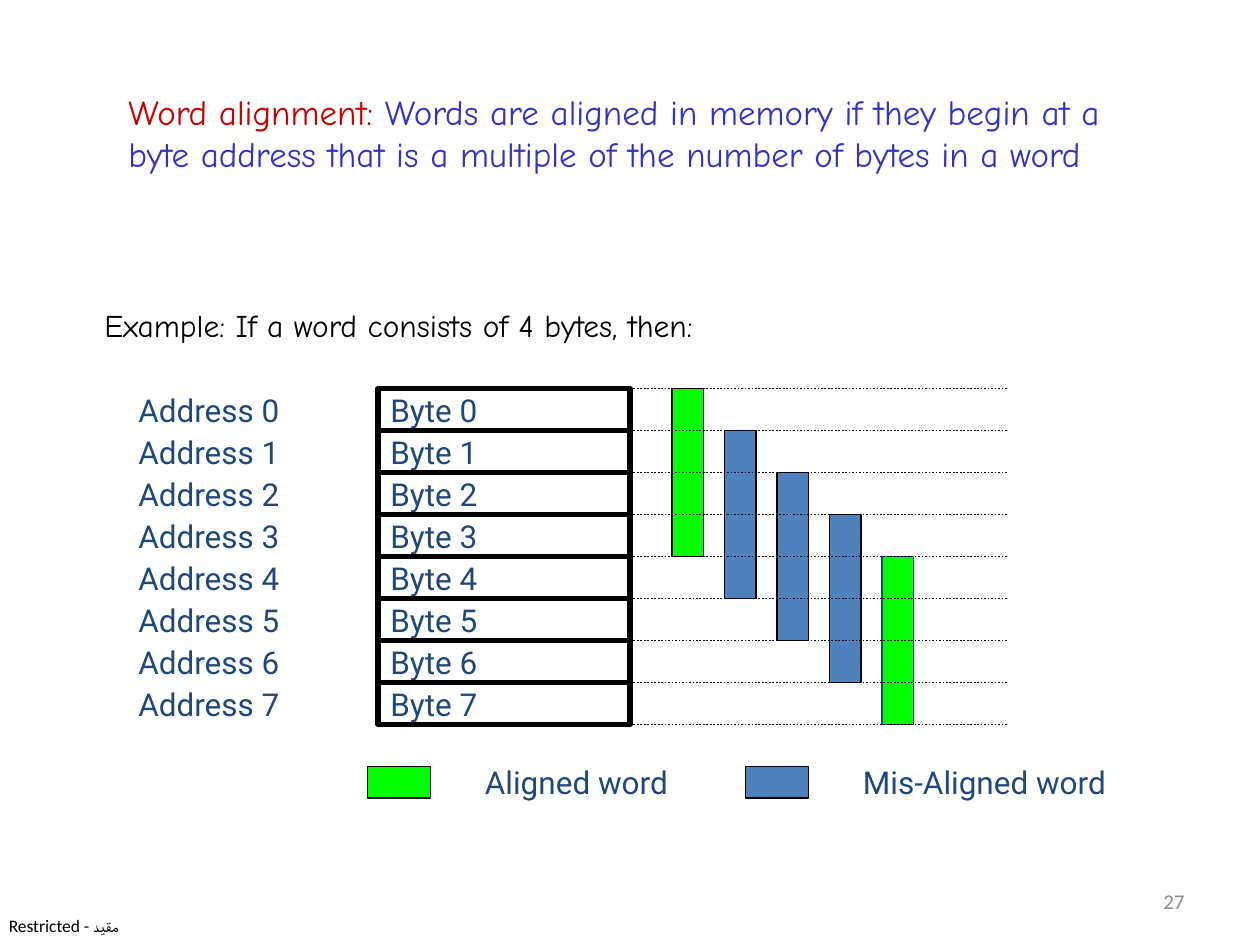
from lxml.etree import SubElement
from pptx import Presentation
from pptx.dml.color import RGBColor
from pptx.enum.dml import MSO_LINE
from pptx.enum.shapes import MSO_CONNECTOR, MSO_SHAPE
from pptx.enum.text import MSO_ANCHOR, MSO_AUTO_SIZE, PP_ALIGN
from pptx.oxml.ns import qn
from pptx.util import Inches, Pt

BLACK = RGBColor(0x00, 0x00, 0x00)
GRAY = RGBColor(0x8C, 0x8C, 0x8C)
RED = RGBColor(0xCC, 0x00, 0x00)
INDIGO = RGBColor(0x33, 0x33, 0xCC)
NAVY = RGBColor(0x1F, 0x49, 0x7D)
GREEN = RGBColor(0x00, 0xFF, 0x00)
BLUE = RGBColor(0x4F, 0x81, 0xBD)

BODY, HAND, SMALL = "Roboto", "Comic Neue", "Calibri"

# Memory grid, in units of a twelfth of an inch
TOP, ROW, BYTES, WORD = 37, 4, 8, 4
ADDRESS_X, BYTE_X, COL_W = 12, 36, 24
BAR_X, BAR_STEP, BAR_W = 64, 5, 3


def unit(n):
    return Inches(n / 12)


def style(r, size, font, color):
    r.font.size = Pt(size)
    r.font.name = font
    r.font.color.rgb = color


def write(sp, text, size, font, color, anchor=MSO_ANCHOR.MIDDLE, wrap=False):
    tf = sp.text_frame
    tf.word_wrap = wrap
    tf.vertical_anchor = anchor
    p = tf.paragraphs[0]
    p.text = text
    p.alignment = PP_ALIGN.LEFT
    style(p.runs[0], size, font, color)
    return tf


def add_label(s, x, y, w, h, text):
    box = s.shapes.add_textbox(unit(x), unit(y), unit(w), unit(h))
    write(box, text, 18, BODY, NAVY)


def add_rect(s, x, y, w, h, fill=None, line=BLACK, width=1):
    sp = s.shapes.add_shape(MSO_SHAPE.RECTANGLE, unit(x), unit(y), unit(w), unit(h))
    sp.shadow.inherit = False
    if fill is None:
        sp.fill.background()
    else:
        sp.fill.solid()
        sp.fill.fore_color.rgb = fill
    sp.line.color.rgb = line
    sp.line.width = Pt(width)
    return sp


def add_dotted_line(s, x1, x2, y):
    ln = s.shapes.add_connector(MSO_CONNECTOR.STRAIGHT, unit(x1), unit(y), unit(x2), unit(y))
    ln.line.color.rgb = BLACK
    ln.line.width = Pt(1)
    ln.line.dash_style = MSO_LINE.ROUND_DOT
    SubElement(ln._element.spPr, qn("a:effectLst"))


def add_definition(s):
    box = s.shapes.add_textbox(Inches(0.25), Inches(0.67), Inches(8.83), Inches(1.08))
    tf = write(box, "\tWord alignment:", 20, HAND, RED, MSO_ANCHOR.TOP, True)
    p = tf.paragraphs[0]
    p.space_before = Pt(4)
    r = p.add_run()
    r.text = (" Words are aligned in memory if they begin at a byte address"
              " that is a multiple of the number of bytes in a word")
    style(r, 20, HAND, INDIGO)
    # Hanging indent
    pPr = p._p.get_or_add_pPr()
    pPr.set("marL", str(Inches(0.67)))
    pPr.set("indent", str(-Inches(0.67)))


def add_memory(s):
    for i in range(BYTES):
        y = TOP + i * ROW
        add_label(s, ADDRESS_X, y, COL_W, ROW, f"Address {i}")
        cell = add_rect(s, BYTE_X, y, COL_W, ROW, width=3)
        write(cell, f"Byte {i}", 18, BODY, NAVY)


def add_words(s):
    # One bar for each possible start address
    for start in range(WORD + 1):
        aligned = start % WORD == 0
        add_rect(s, BAR_X + start * BAR_STEP, TOP + start * ROW, BAR_W, WORD * ROW,
                 GREEN if aligned else BLUE, NAVY if start == WORD else BLACK)
    # Byte boundaries across the bars
    for i in range(BYTES + 1):
        add_dotted_line(s, BYTE_X + COL_W, 96, TOP + i * ROW)


def add_legend(s):
    # Each label is wide enough for its text on one line
    for x, color, w, text in ((35, GREEN, 22, "Aligned word"),
                              (71, BLUE, 28, "Mis-Aligned word")):
        add_rect(s, x, 73, 6, 3, color)
        add_label(s, x + 10, 73, w, 3, text)


def add_footer(s):
    box = s.shapes.add_textbox(Inches(0.07), Inches(7.26), Inches(0.96), Inches(0.17))
    tf = write(box, "Restricted - مقيد", 10, SMALL, BLACK, MSO_ANCHOR.TOP, True)
    tf.margin_left = tf.margin_right = tf.margin_top = tf.margin_bottom = 0
    tf.auto_size = MSO_AUTO_SIZE.SHAPE_TO_FIT_TEXT
    number = s.shapes.add_textbox(Inches(7.17), Inches(6.95), Inches(2.33), Inches(0.4))
    tf = write(number, "27", 12, SMALL, GRAY, wrap=True)
    tf.paragraphs[0].alignment = PP_ALIGN.RIGHT


def main():
    prs = Presentation()
    prs.slide_width, prs.slide_height = Inches(10), Inches(7.5)
    s = prs.slides.add_slide(prs.slide_layouts[6])
    add_footer(s)
    add_definition(s)
    add_memory(s)
    add_words(s)
    add_legend(s)
    # Example heading
    box = s.shapes.add_textbox(Inches(0.73), Inches(2.38), Inches(5.48), Inches(0.4))
    tf = write(box, "Example: If a word consists of 4 bytes, then:", 18, HAND, BLACK,
               MSO_ANCHOR.TOP)
    tf.auto_size = MSO_AUTO_SIZE.SHAPE_TO_FIT_TEXT
    prs.save("out.pptx")


if __name__ == "__main__":
    main()
